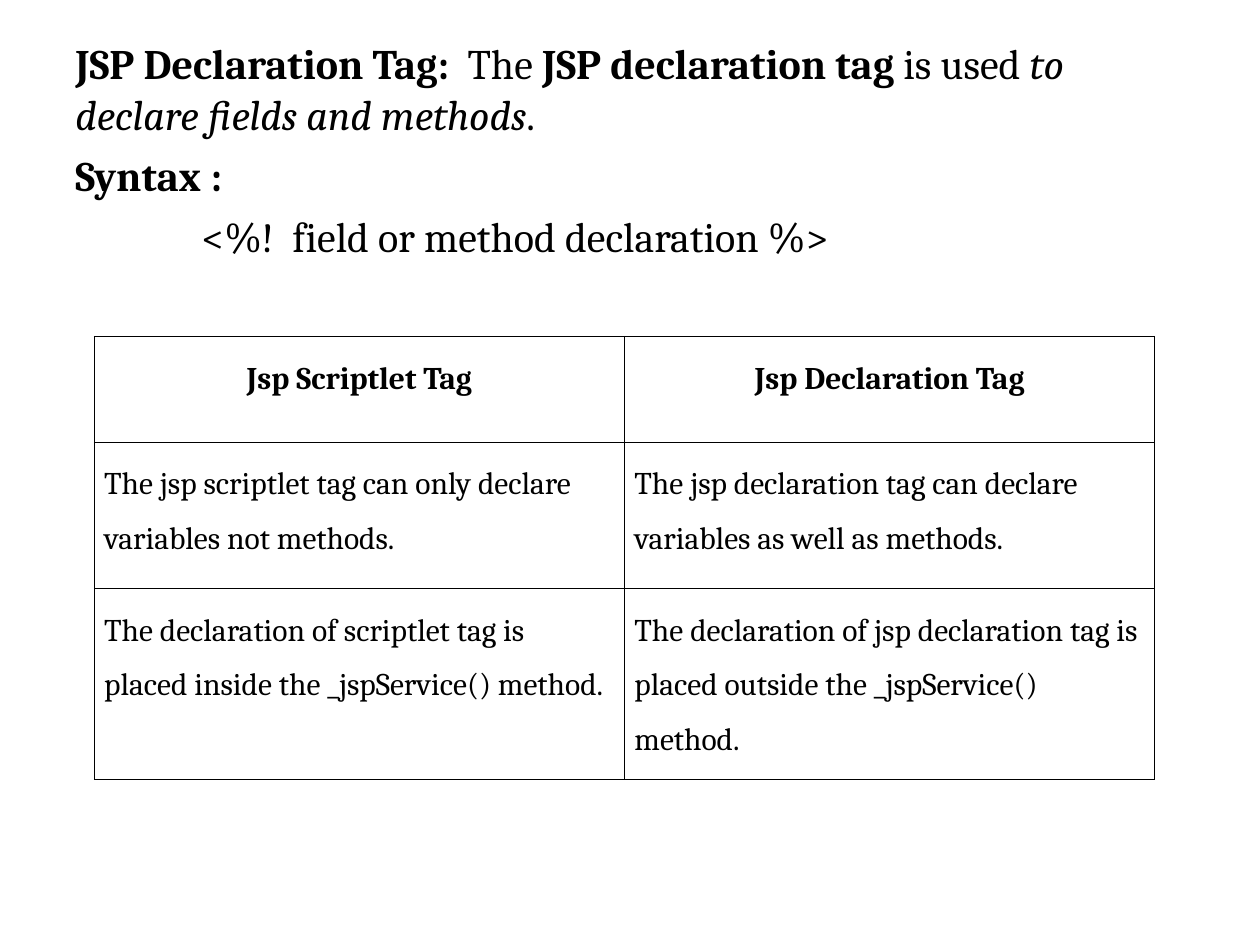
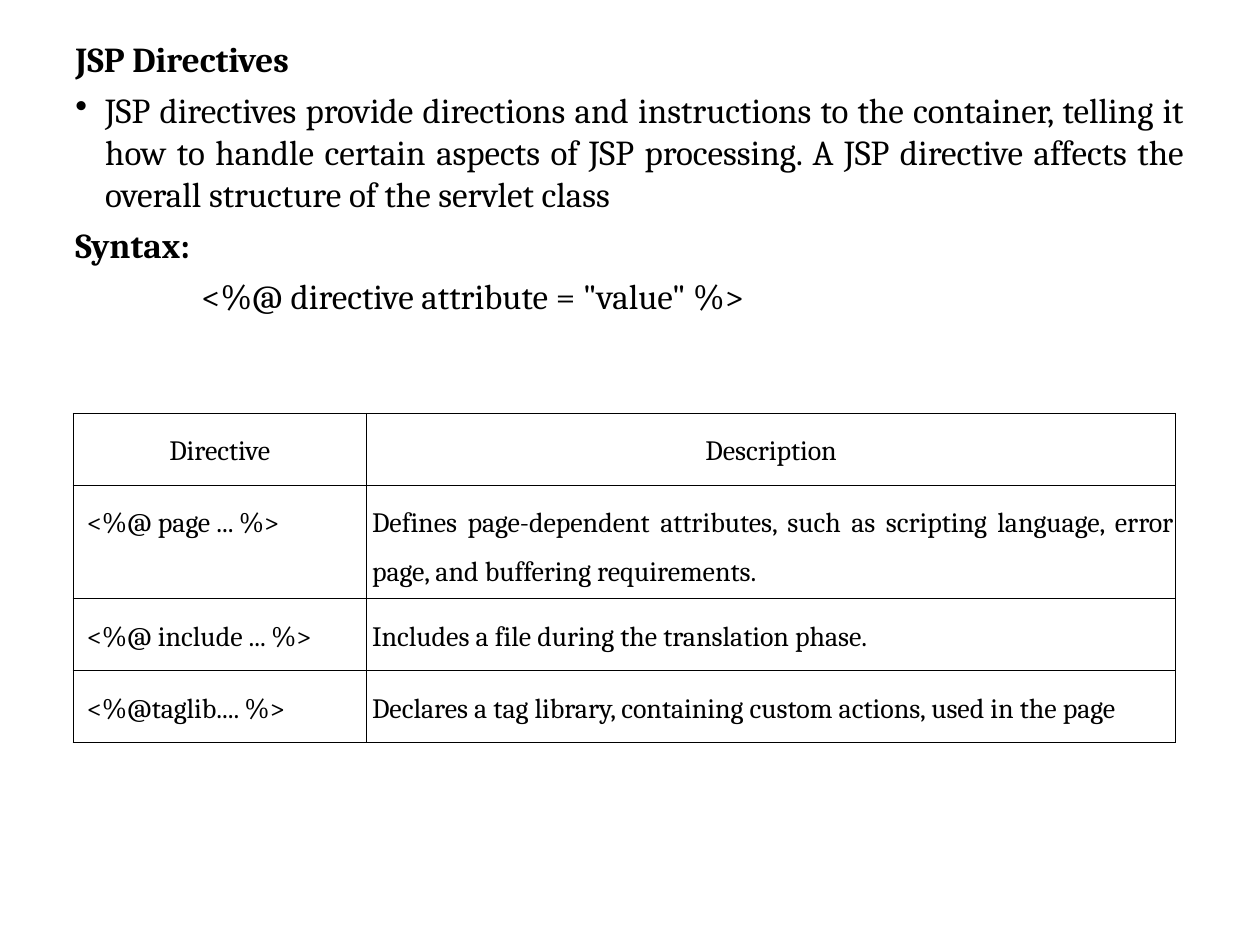
from lxml.etree import SubElement
from pptx import Presentation
from pptx.dml.color import RGBColor
from pptx.enum.text import PP_ALIGN
from pptx.oxml.ns import qn
from pptx.util import Cm, Pt

FONT = "Cambria"
BLACK = "000000"
TAB = Cm(2.54)
LEFT, CENTER, JUSTIFY = PP_ALIGN.LEFT, PP_ALIGN.CENTER, PP_ALIGN.JUSTIFY


def rgb(value):
    """Turn a hex string into a colour."""
    return RGBColor.from_string(value)


def add_run(p, text, size, style=""):
    """Add one run; style holds b for bold and i for italic."""
    r = p.add_run()
    r.text = text
    r.font.name = FONT
    r.font.size = Pt(size)
    r.font.bold = "b" in style
    r.font.italic = "i" in style
    r.font.color.rgb = rgb(BLACK)


def set_bullet(p, indent):
    """Give a paragraph a round bullet with a hanging indent."""
    pPr = p._p.get_or_add_pPr()
    pPr.set("marL", str(indent))
    pPr.set("indent", str(-indent))
    SubElement(pPr, qn("a:buChar"), char="•")


def set_tab(p):
    """Give a paragraph its left tab stop."""
    tabs = SubElement(p._p.get_or_add_pPr(), qn("a:tabLst"))
    SubElement(tabs, qn("a:tab"), pos=str(TAB), algn="l")


def add_intro(s, height, paragraphs, size, gap, align, bullets=()):
    """Add the opening text; each paragraph is a list of (text, style) runs."""
    tf = s.shapes.add_textbox(Cm(1.27), Cm(0.64), Cm(22.86), Cm(height)).text_frame
    tf.word_wrap = True
    for i, runs in enumerate(paragraphs):
        p = tf.add_paragraph() if i else tf.paragraphs[0]
        p.alignment = align
        if i:
            p.space_before = Pt(gap)
        if i in bullets:
            set_bullet(p, Cm(0.6))
        if runs[0][0].startswith("\t"):
            set_tab(p)
        for text, style in runs:
            add_run(p, text, size, style)


def set_borders(cell):
    """Draw a thin line on all four sides of a cell."""
    tcPr = cell._tc.get_or_add_tcPr()
    for side in "LRTB":
        ln = SubElement(tcPr, qn(f"a:ln{side}"), w=str(Pt(0.45)))
        fill = SubElement(ln, qn("a:solidFill"))
        SubElement(fill, qn("a:srgbClr"), val=BLACK)


def fill_cell(cell, text, size, align, inset, indent=0, style=""):
    """Write one cell with its borders, margins and text."""
    set_borders(cell)
    cell.fill.background()
    cell.margin_left = cell.margin_right = Cm(inset)
    cell.margin_top = cell.margin_bottom = Cm(0.13)
    p = cell.text_frame.paragraphs[0]
    p.alignment = align
    p.line_spacing = 1.5
    if indent:
        p._p.get_or_add_pPr().set("marL", str(Cm(indent)))
    add_run(p, text, size, style)


def add_grid(s, left, top, widths, heights):
    """Add a plain table with the given column widths and row heights."""
    frame = s.shapes.add_table(len(heights), len(widths), Cm(left), Cm(top),
                               Cm(sum(widths)), Cm(sum(heights)))
    table = frame.table
    table.first_row = table.horz_banding = False
    for column, width in zip(table.columns, widths):
        column.width = Cm(width)
    for row, height in zip(table.rows, heights):
        row.height = Cm(height)
    return table


def add_declaration_slide(prs):
    """Build the slide on the declaration tag."""
    s = prs.slides.add_slide(prs.slide_layouts[6])
    add_intro(s, 16.38, [
        [("JSP Declaration Tag:  ", "b"), ("The ", ""), ("JSP declaration tag", "b"),
         (" is used ", ""), ("to declare fields and methods", "i"), (".", "")],
        [("Syntax :", "b")],
        [("\t<%!  field or method declaration %>", "")],
    ], 24, 6, LEFT)
    rows = [
        ("Jsp Scriptlet Tag", "Jsp Declaration Tag"),
        ("The jsp scriptlet tag can only declare variables not methods.",
         "The jsp declaration tag can declare variables as well as methods."),
        ("The declaration of scriptlet tag is placed inside the _jspService() method.",
         "The declaration of jsp declaration tag is placed outside the _jspService() method."),
    ]
    table = add_grid(s, 1.9, 6.78, [10.69] * 2, [2.13, 2.95, 3.86])
    for i, row in enumerate(rows):
        for j, text in enumerate(row):
            if i == 0:
                fill_cell(table.cell(i, j), text, 18, CENTER, 0.33, style="b")
            else:
                fill_cell(table.cell(i, j), text, 18, LEFT, 0.2)


def add_directives_slide(prs):
    """Build the slide on directives."""
    s = prs.slides.add_slide(prs.slide_layouts[6])
    add_intro(s, 7.42, [
        [("JSP Directives", "b")],
        [("JSP directives provide directions and instructions to the container, "
          "telling it how to handle certain aspects of JSP processing. A JSP "
          "directive affects the overall structure of the servlet class", "")],
        [("Syntax:", "b")],
        [("\t", "b"), ('<%@ directive attribute = "value" %>', "")],
    ], 20, 5, JUSTIFY, bullets=(1,))
    rows = [
        ("Directive", "Description"),
        ("<%@ page ... %>", "Defines page-dependent attributes, such as scripting "
                            "language, error page, and buffering requirements."),
        ("<%@ include ... %>", "Includes a file during the translation phase."),
        ("<%@taglib.... %>",
         "Declares a tag library, containing custom actions, used in the page"),
    ]
    table = add_grid(s, 1.47, 8.33, [5.92, 16.31], [1.45, 2.08, 1.45, 1.45])
    for i, row in enumerate(rows):
        for j, (text, inset) in enumerate(zip(row, (0.2, 0.03))):
            align, indent = (JUSTIFY, 0.08) if i else (CENTER, 0)
            fill_cell(table.cell(i, j), text, 16, align, inset, indent)


def main():
    """Build and save the slides."""
    prs = Presentation()
    prs.slide_width, prs.slide_height = Cm(25.4), Cm(19.05)
    add_declaration_slide(prs)
    add_directives_slide(prs)
    prs.save("out.pptx")


if __name__ == "__main__":
    main()
